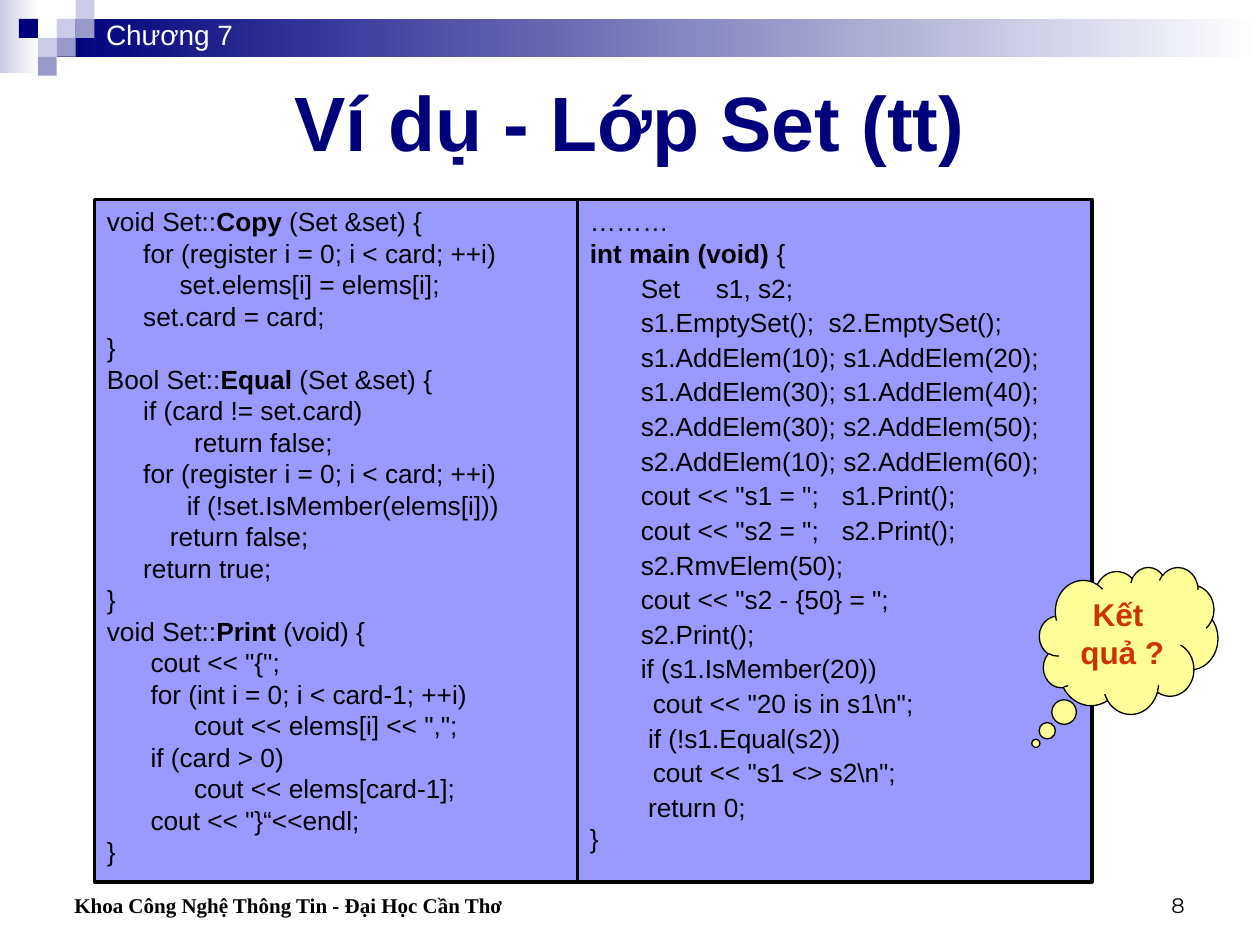
from pptx import Presentation
from pptx.dml.color import RGBColor
from pptx.enum.shapes import MSO_SHAPE
from pptx.enum.text import MSO_ANCHOR, PP_ALIGN
from pptx.util import Pt

RECTANGLE, CLOUD = MSO_SHAPE.RECTANGLE, MSO_SHAPE.CLOUD_CALLOUT
TOP, MIDDLE, BOTTOM = MSO_ANCHOR.TOP, MSO_ANCHOR.MIDDLE, MSO_ANCHOR.BOTTOM
LEFT, CENTER, RIGHT = PP_ALIGN.LEFT, PP_ALIGN.CENTER, PP_ALIGN.RIGHT

COLORS = {
    "white": "FFFFFF",
    "black": "000000",
    "navy": "00007D",
    "pale": "CCCCE6",
    "lavender": "9999CC",
    "panel": "9999FF",
    "cloud": "FFFF99",
    "red": "CC3300",
}

CELL = 10.8
SQUARES = [
    (3, 1, "pale"), (4, 0, "pale"), (4, 1, "lavender"), (2, 2, "pale"),
    (1, 1, "navy"), (3, 2, "lavender"), (2, 3, "lavender"),
]

SET_METHODS = [
    "void Set::**Copy** (Set &set) {",
    "     for (register i = 0; i < card; ++i)",
    "          set.elems[i] = elems[i];",
    "     set.card = card;",
    "}",
    "Bool Set::**Equal** (Set &set) {",
    "     if (card != set.card)",
    "            return false;",
    "     for (register i = 0; i < card; ++i)",
    "           if (!set.IsMember(elems[i]))",
    "\treturn false;",
    "     return true;",
    "}",
    "void Set::**Print** (void) {",
    '      cout << "{";',
    "      for (int i = 0; i < card-1; ++i)",
    '            cout << elems[i] << ",";',
    "      if (card > 0)",
    "            cout << elems[card-1];",
    '      cout << "}“<<endl;',
    "}",
]

MAIN_PROGRAM = [
    "………",
    "**int main (void) **{",
    "       Set\ts1, s2;",
    "       s1.EmptySet();  s2.EmptySet();",
    "       s1.AddElem(10); s1.AddElem(20);",
    "       s1.AddElem(30); s1.AddElem(40);",
    "       s2.AddElem(30); s2.AddElem(50);",
    "       s2.AddElem(10); s2.AddElem(60);",
    '       cout << "s1 = ";\ts1.Print();',
    '       cout << "s2 = ";\ts2.Print();',
    "       s2.RmvElem(50);",
    '       cout << "s2 - {50} = ";',
    "       s2.Print();",
    "       if (s1.IsMember(20))",
    '     \tcout << "20 is in s1\\n";',
    "        if (!s1.Equal(s2))",
    '    \tcout << "s1 <> s2\\n";',
    "        return 0;",
    "}",
]


def color(name):
    """Return the named colour."""
    return RGBColor.from_string(COLORS[name])


def write(box, lines, size, ink="black", font="Arial", bold=False, align=LEFT, anchor=TOP):
    """Write lines into a box, with bold spans between double asterisks."""
    frame = box.text_frame
    frame.word_wrap = True
    frame.vertical_anchor = anchor
    for index, line in enumerate(lines):
        para = frame.add_paragraph() if index else frame.paragraphs[0]
        para.alignment = align
        for position, text in enumerate(line.split("**")):
            if text:
                span = para.add_run()
                span.text = text
                span.font.size = Pt(size)
                span.font.name = font
                span.font.bold = bold or position % 2 == 1
                span.font.color.rgb = color(ink)


def add_label(slide, left, top, width, height, text, size, **style):
    """Add a one-line text box."""
    box = slide.shapes.add_textbox(Pt(left), Pt(top), Pt(width), Pt(height))
    write(box, [text], size, **style)
    return box


def add_block(slide, left, top, width, height, fill, line_width=0, kind=RECTANGLE):
    """Add a filled shape, outlined in black when a line width is given."""
    shape = slide.shapes.add_shape(kind, Pt(left), Pt(top), Pt(width), Pt(height))
    shape.shadow.inherit = False
    shape.fill.solid()
    shape.fill.fore_color.rgb = color(fill)
    if line_width:
        shape.line.color.rgb = color("black")
        shape.line.width = Pt(line_width)
    else:
        shape.line.fill.background()
    return shape


def add_fade(slide, left, top, width, height, fill):
    """Add a rectangle that fades to white towards the right."""
    shape = add_block(slide, left, top, width, height, fill)
    shape.fill.gradient()
    shape.fill.gradient_angle = 180
    for stop, name, position in zip(shape.fill.gradient_stops, ("white", fill), (0, 1)):
        stop.color.rgb = color(name)
        stop.position = position


def add_header(slide):
    """Add the fading bands and the squares of the header."""
    add_fade(slide, 0, 0, 22.3, 41.8, "pale")
    add_fade(slide, 3 * CELL, CELL, 720 - 3 * CELL, 2 * CELL, "navy")
    for column, row, fill in SQUARES:
        add_block(slide, column * CELL, row * CELL, CELL, CELL, fill)


def add_code(slide, left, width, lines):
    """Add a code panel and return its paragraphs."""
    panel = add_block(slide, left, 114, width, 390, "panel", 2)
    write(panel, lines, 15)
    return panel.text_frame.paragraphs


def main():
    """Build the slide and save the deck."""
    deck = Presentation()
    deck.slide_width, deck.slide_height = Pt(720), Pt(540)
    slide = deck.slides.add_slide(deck.slide_layouts[6])

    add_header(slide)
    add_label(slide, 36, 36, 648, 66, "Ví dụ - Lớp Set (tt)", 44,
              ink="navy", bold=True, align=CENTER, anchor=MIDDLE)
    add_label(slide, 53.5, 6.5, 126, 26.6, "Chương 7", 16, ink="white")

    add_code(slide, 54, 276, SET_METHODS)
    for para in add_code(slide, 330, 294, MAIN_PROGRAM)[2:-1]:
        para.line_spacing = 1.1

    cloud = add_block(slide, 594, 324, 102, 84, "cloud", 0.75, CLOUD)
    cloud.adjustments[0], cloud.adjustments[1] = -0.52, 0.7
    write(cloud, ["Kết ", "quả ?"], 18, ink="red", bold=True, align=CENTER)

    footer = add_label(slide, 18, 492, 348, 36, "Khoa Công Nghệ Thông Tin - Đại Học Cần Thơ", 12,
                       font="Times New Roman", bold=True, anchor=BOTTOM)
    footer.text_frame.margin_left = Pt(24.5)
    add_label(slide, 516, 492, 168, 36, "8", 12, font="Montserrat", align=RIGHT, anchor=BOTTOM)

    deck.save("out.pptx")


if __name__ == "__main__":
    main()
